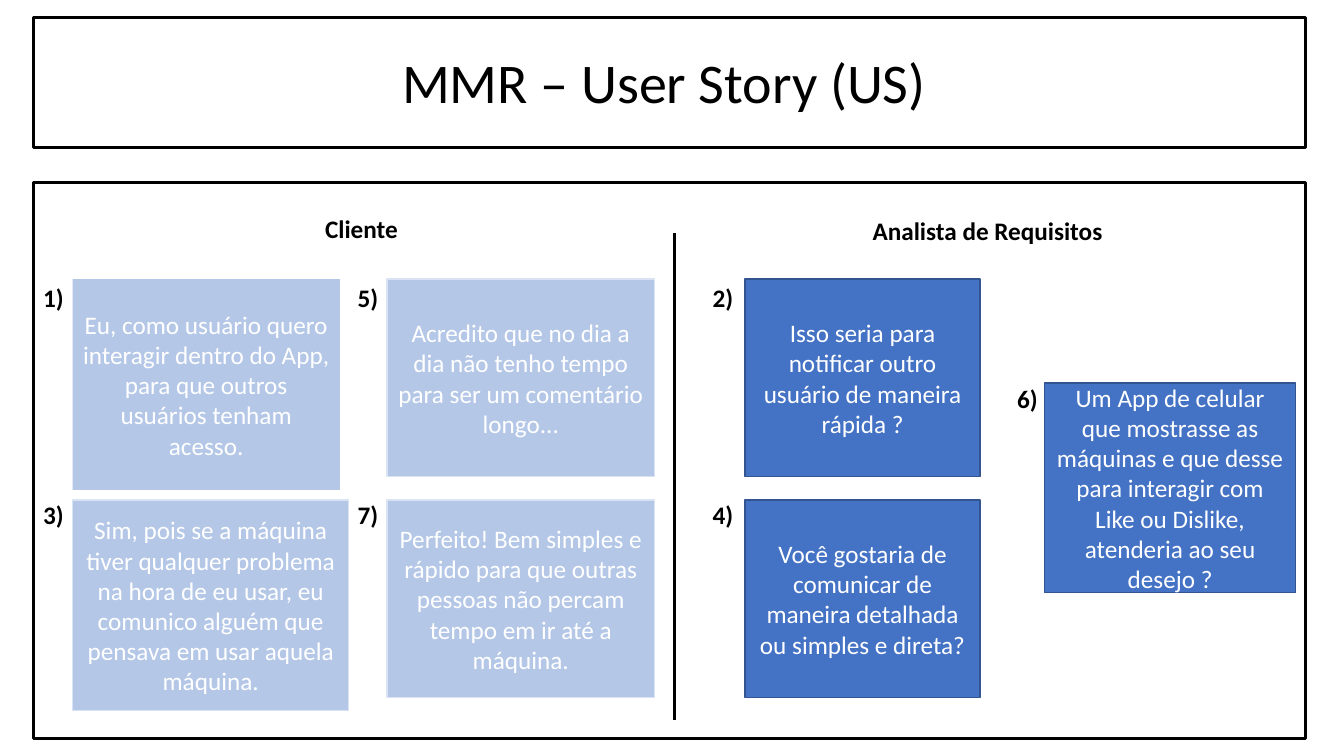
from collections import namedtuple

from lxml.etree import SubElement
from pptx import Presentation
from pptx.dml.color import RGBColor as RGB
from pptx.enum.shapes import MSO_CONNECTOR as Conn, MSO_SHAPE as Shape
from pptx.enum.text import MSO_ANCHOR as Anchor, MSO_AUTO_SIZE as Auto, PP_ALIGN as Align
from pptx.oxml.ns import qn
from pptx.util import Inches, Pt

Theme = namedtuple("Theme", "font ink paper pale mist blue navy title body rule thin")
theme = Theme("Calibri", "000000", "FFFFFF", "B4C7E7", "DAE3F3",
              "4472C4", "325491", 40, 18, 2.25, 1)

# Grid in inches: four card columns, with a narrow number column before each
cols = (0.72, 3.84, 7.39, 10.36)
marks = (0.33, 3.45, 6.97, 9.99)
rows = {"top": 2.77, "mid": 3.8, "low": 4.96}
lifts = {"top": 0.02, "mid": 0.05, "low": 0.06}
left, wide = 0.33, 12.62

deck = Presentation()
deck.slide_width, deck.slide_height = Inches(13.33), Inches(7.5)
slide = deck.slides.add_slide(deck.slide_layouts[6])
shapes = slide.shapes


def add_box(area, fill, line, weight):
    box = shapes.add_shape(Shape.RECTANGLE, *map(Inches, area))
    box.shadow.inherit = False
    box.fill.solid()
    box.fill.fore_color.rgb = RGB.from_string(fill)
    if line:
        box.line.color.rgb = RGB.from_string(line)
        box.line.width = Pt(weight)
    else:
        box.line.fill.background()
    return box


def write(host, text, size, color, align, anchor, bold=False):
    frame = host.text_frame
    frame.word_wrap = True
    frame.vertical_anchor = anchor
    para = frame.paragraphs[0]
    para.alignment = align
    run = para.add_run()
    run.text = text
    run.font.name, run.font.size, run.font.bold = theme.font, Pt(size), bold
    run.font.color.rgb = RGB.from_string(color)
    return para


# Frames, title and divider
for top, tall in ((1.81, 5.52), (0.17, 1.29)):
    add_box((left, top, wide, tall), theme.paper, theme.ink, theme.rule)

title = shapes.add_textbox(*map(Inches, (1.13, 0.17, 10.91, 1.03)))
para = write(title, "MMR – User Story (US)", theme.title, theme.ink,
             Align.CENTER, Anchor.BOTTOM)
para.line_spacing = 0.9

split = shapes.add_connector(Conn.STRAIGHT, *map(Inches, (6.69, 2.31, 6.69, 7.14)))
split.line.color.rgb = RGB.from_string(theme.ink)
split.line.width = Pt(theme.rule)
SubElement(split.element.spPr, qn("a:effectLst"))

# Cards: number, column, row, width, height, fill, line, text
client = (theme.pale, theme.mist)
analyst = (theme.blue, theme.navy)
cards = (
    (1, 0, "top", 2.65, 2.09, (theme.pale, None),
     "Eu, como usuário quero interagir dentro do App, para que outros usuários tenham acesso."),
    (2, 2, "top", 2.33, 1.96, analyst,
     "Isso seria para notificar outro usuário de maneira rápida ?"),
    (3, 0, "low", 2.74, 2.09, client,
     "Sim, pois se a máquina tiver qualquer problema na hora de eu usar, "
     "eu comunico alguém que pensava em usar aquela máquina."),
    (4, 2, "low", 2.33, 1.96, analyst,
     "Você gostaria de comunicar de maneira detalhada ou simples e direta?"),
    (5, 1, "top", 2.65, 1.96, client,
     "Acredito que no dia a dia não tenho tempo para ser um comentário longo..."),
    (6, 3, "mid", 2.49, 2.08, analyst,
     "Um App de celular que mostrasse as máquinas e que desse para interagir "
     "com Like ou Dislike, atenderia ao seu desejo ?"),
    (7, 1, "low", 2.65, 1.96, client,
     "Perfeito! Bem simples e rápido para que outras pessoas não percam "
     "tempo em ir até a máquina."),
)
labels = [("Analista de Requisitos", 8.55, 2.09, 2.49, Align.CENTER),
          ("Cliente", 2.34, 2.07, 2.49, Align.CENTER)]
for num, col, row, width, tall, (fill, line), text in cards:
    card = add_box((cols[col], rows[row], width, tall), fill, line, theme.thin)
    write(card, text, theme.body, theme.paper, Align.CENTER, Anchor.MIDDLE)
    labels.append((f"{num})", marks[col], rows[row] - lifts[row], 0.47, Align.LEFT))

# Headings and card numbers
for text, x, y, width, align in labels:
    label = shapes.add_textbox(*map(Inches, (x, y, width, 0.4)))
    write(label, text, theme.body, theme.ink, align, Anchor.TOP, bold=True)
    label.text_frame.auto_size = Auto.SHAPE_TO_FIT_TEXT

deck.save("out.pptx")
